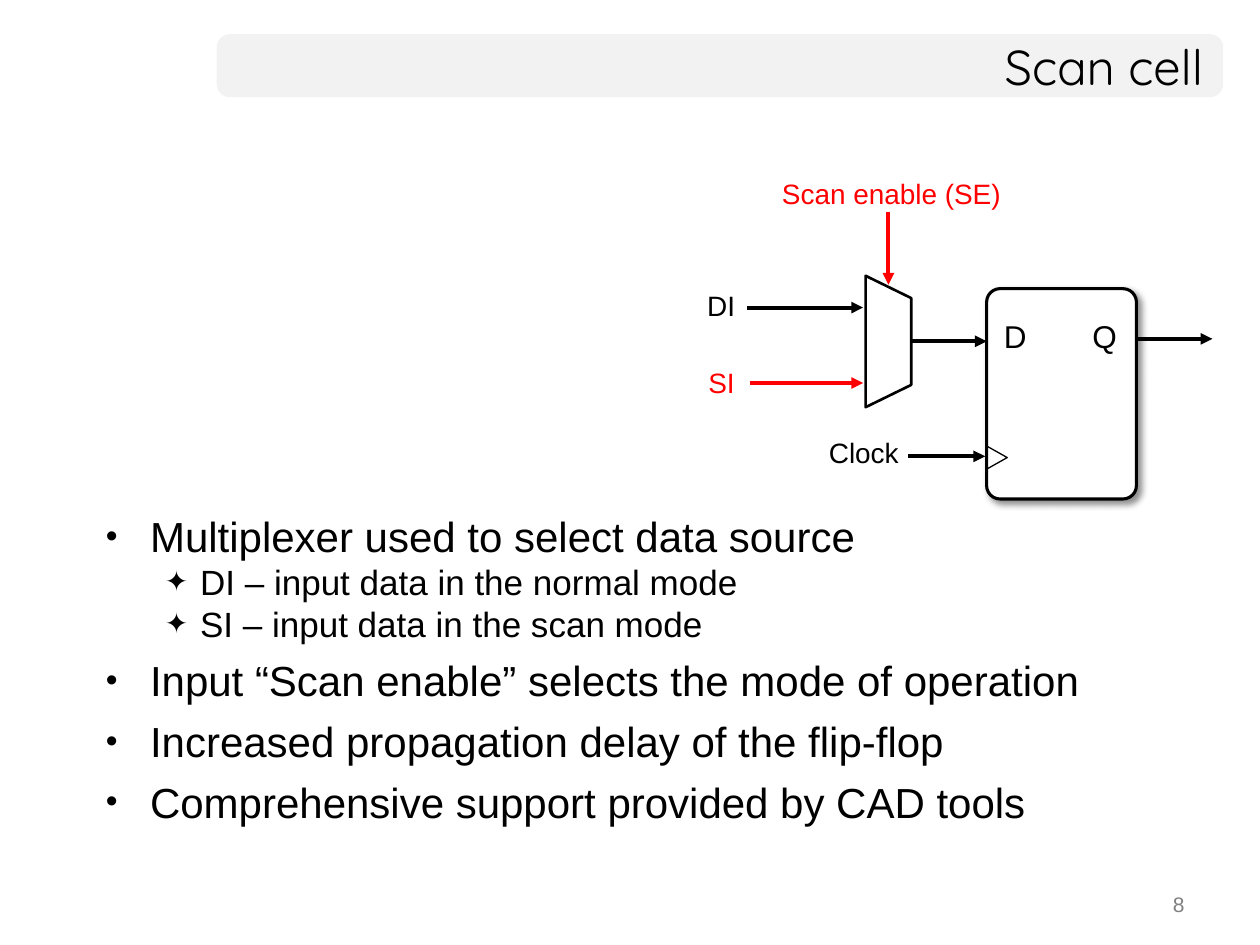
from lxml import etree
from pptx import Presentation
from pptx.dml.color import RGBColor
from pptx.enum.shapes import MSO_CONNECTOR, MSO_SHAPE
from pptx.enum.text import MSO_ANCHOR, MSO_AUTO_SIZE, PP_ALIGN
from pptx.oxml import parse_xml
from pptx.oxml.ns import nsdecls, qn
from pptx.util import Cm, Pt

LEFT, CENTER, RIGHT = PP_ALIGN.LEFT, PP_ALIGN.CENTER, PP_ALIGN.RIGHT
MIDDLE, TOP = MSO_ANCHOR.MIDDLE, MSO_ANCHOR.TOP
STRAIGHT = MSO_CONNECTOR.STRAIGHT
ROUNDED, TRIANGLE = MSO_SHAPE.ROUNDED_RECTANGLE, MSO_SHAPE.ISOSCELES_TRIANGLE

COLORS = {
    "ink": "000000",
    "scan": "FF0000",
    "band": "F2F2F2",
    "paper": "FFFFFF",
    "number": "808080",
}
BULLETS = [
    (0, "Multiplexer used to select data source"),
    (1, "DI – input data in the normal mode"),
    (1, "SI – input data in the scan mode"),
    (0, "Input “Scan enable” selects the mode of operation"),
    (0, "Increased propagation delay of the flip-flop"),
    (0, "Comprehensive support provided by CAD tools"),
]
# Per list level: bullet, text indent in cm, hanging indent in cm, size, space before
LEVELS = [("•", 0.89, 0.89, 24, 5.8), ("✦", 1.9, 0.71, 20, 0)]


def color(name):
    return RGBColor.from_string(COLORS[name])


def place(shape, left, top, width, height):
    shape.left, shape.top = Cm(left), Cm(top)
    shape.width, shape.height = Cm(width), Cm(height)


def write(para, text, size=16, font="Arial", ink="ink", align=LEFT):
    para.text = text
    para.alignment = align
    para.font.size = Pt(size)
    para.font.name = font
    para.font.color.rgb = color(ink)


def add_label(page, text, left, top, width, height=0.94, **style):
    box = page.shapes.add_textbox(Cm(left), Cm(top), Cm(width), Cm(height))
    box.text_frame.word_wrap = True
    box.text_frame.vertical_anchor = MIDDLE
    write(box.text_frame.paragraphs[0], text, **style)


def outline(shape, width, fill=None):
    shape.shadow.inherit = False
    if fill:
        shape.fill.solid()
        shape.fill.fore_color.rgb = color(fill)
    else:
        shape.fill.background()
    shape.line.color.rgb = color("ink")
    shape.line.width = Pt(width)


def add_arrow(page, x1, y1, x2, y2, ink="ink"):
    arrow = page.shapes.add_connector(STRAIGHT, Cm(x1), Cm(y1), Cm(x2), Cm(y2))
    arrow.line.color.rgb = color(ink)
    arrow.line.width = Pt(2.25)
    etree.SubElement(arrow.line._get_or_add_ln(), qn("a:tailEnd"), type="triangle")
    etree.SubElement(arrow._element.spPr, qn("a:effectLst"))


def add_title(page, left, top, width, height):
    band = page.shapes.add_shape(ROUNDED, Cm(left), Cm(top), Cm(width), Cm(height))
    band.adjustments[0] = 0.21
    band.shadow.inherit = False
    band.fill.solid()
    band.fill.fore_color.rgb = color("band")
    band.line.fill.background()
    # The band lies behind the title placeholder
    page.shapes._spTree.insert(2, band._element)

    title = page.shapes.title
    place(title, left, top, width - 0.15, height)
    frame = title.text_frame
    frame.auto_size = MSO_AUTO_SIZE.NONE
    frame.vertical_anchor = MIDDLE
    write(frame.paragraphs[0], "Scan cell", size=28, font="Quicksand", align=RIGHT)


def add_bullets(page, left, top, width, height):
    body = page.placeholders[1]
    place(body, left, top, width, height)
    frame = body.text_frame
    frame.auto_size = MSO_AUTO_SIZE.NONE
    frame.vertical_anchor = TOP
    for index, (level, text) in enumerate(BULLETS):
        para = frame.add_paragraph() if index else frame.paragraphs[0]
        bullet, indent, hanging, size, space = LEVELS[level]
        para.level = level
        props = para._p.get_or_add_pPr()
        props.set("marL", str(Cm(indent)))
        props.set("indent", str(-Cm(hanging)))
        etree.SubElement(props, qn("a:buSzPct"), val="80000")
        etree.SubElement(props, qn("a:buChar"), char=bullet)
        para.space_before = Pt(space if index else 0)
        write(para, text, size=size)


def add_multiplexer(page, left, top, width, height, slant):
    """Draw a trapezoid whose right side is shorter by slant at each end."""
    right, bottom = left + width, top + height
    builder = page.shapes.build_freeform(Cm(left), Cm(top))
    corners = [(right, top + slant), (right, bottom - slant), (left, bottom)]
    builder.add_line_segments([(Cm(x), Cm(y)) for x, y in corners])
    outline(builder.convert_to_shape(), 1.5, "paper")


def add_flip_flop(page, left, top, width, height):
    block = page.shapes.add_shape(ROUNDED, Cm(left), Cm(top), Cm(width), Cm(height))
    block.adjustments[0] = 0.09
    outline(block, 1.75, "paper")
    shadow = parse_xml(
        f'<a:outerShdw {nsdecls("a")} blurRad="{Pt(4)}" dist="{Pt(3)}" dir="2700000" '
        f'algn="tl" rotWithShape="0"><a:srgbClr val="{COLORS["ink"]}">'
        '<a:alpha val="43000"/></a:srgbClr></a:outerShdw>')
    block._element.spPr.find(qn("a:effectLst")).append(shadow)

    add_label(page, "D", left + 0.1, top + 0.45, 1.32, 1.02, size=18)
    add_label(page, "Q", left + 1.88, top + 0.45, 1.68, 1.02, size=18)
    clock_mark = page.shapes.add_shape(
        TRIANGLE, Cm(left - 0.02), Cm(top + 3.2), Cm(0.46), Cm(0.41))
    clock_mark.rotation = 90
    outline(clock_mark, 0.75)


def add_circuit(page, left, top):
    arrows = [
        (9.32, 3.4, 10.85, 3.4, "ink"),
        (4.8, 3.45, 6.3, 3.45, "ink"),
        (1.52, 4.29, 3.81, 4.29, "scan"),
        (1.47, 2.77, 3.81, 2.77, "ink"),
        (4.32, 0.84, 4.32, 2.31, "scan"),
        (4.72, 5.77, 6.27, 5.77, "ink"),
    ]
    labels = [
        ("Clock", 2.72, 5.21, 2.21, "ink", CENTER),
        ("DI", 0.13, 2.26, 1.35, "ink", RIGHT),
        ("SI", 0, 3.81, 1.47, "scan", RIGHT),
        ("Scan enable (SE)", 1.52, 0, 5.72, "scan", CENTER),
    ]
    add_flip_flop(page, left + 6.3, top + 2.39, 3.02, 4.24)
    add_multiplexer(page, left + 3.86, top + 2.13, 0.92, 2.65, 0.45)
    for x1, y1, x2, y2, ink in arrows:
        add_arrow(page, left + x1, top + y1, left + x2, top + y2, ink)
    for text, x, y, width, ink, align in labels:
        add_label(page, text, left + x, top + y, width, ink=ink, align=align)


def main():
    deck = Presentation()
    deck.slide_width, deck.slide_height = Cm(25.4), Cm(19.05)
    page = deck.slides.add_slide(deck.slide_layouts[1])
    add_title(page, 4.37, 0.69, 20.29, 1.27)
    add_bullets(page, 1.88, 10.16, 22.86, 7.34)
    add_circuit(page, 13.59, 3.43)
    add_label(page, "8", 18.21, 17.78, 5.92, 0.89, size=12, ink="number", align=RIGHT)
    deck.save("out.pptx")


if __name__ == "__main__":
    main()
